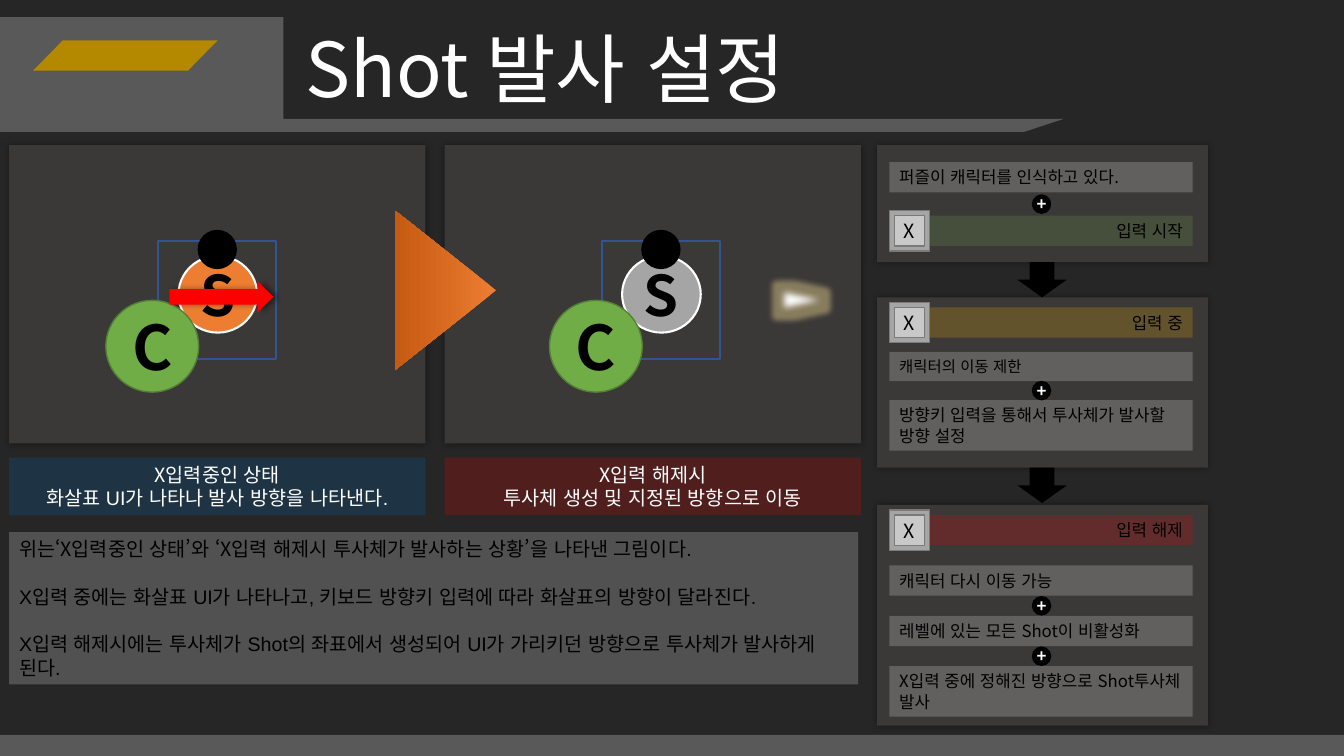
from dataclasses import dataclass
from typing import NamedTuple

from lxml.etree import SubElement
from pptx import Presentation
from pptx.dml.color import RGBColor
from pptx.enum.lang import MSO_LANGUAGE_ID
from pptx.enum.shapes import MSO_SHAPE as Kind
from pptx.enum.text import MSO_ANCHOR, PP_ALIGN
from pptx.oxml.ns import qn
from pptx.shapes.autoshape import Shape
from pptx.util import Inches, Pt


@dataclass(frozen=True)
class Theme:
    back: str = "262626"
    gray: str = "595959"
    gold: str = "B48900"
    panel: str = "3B3838"
    black: str = "000000"
    white: str = "FFFFFF"
    red: str = "FF0000"
    blue: str = "0070C0"
    amber: str = "FFC000"
    green: str = "70AD47"
    moss: str = "538035"
    orange: str = "ED7D31"
    rust: str = "C55A11"
    frame: str = "325491"
    silver: str = "A5A5A5"
    light: str = "C9C9C9"
    edge: str = "7A7A7A"
    glow: str = "FFE699"
    main: str = "Noto Sans CJK KR"
    plain: str = "Arial"
    title: int = 54
    ball: int = 44
    shot: int = 40
    plus: int = 12
    body: int = 14
    step: int = 12
    small: int = 11


T = Theme()


class Box(NamedTuple):
    left: float
    top: float
    width: float
    height: float


class Bar(NamedTuple):
    top: float
    height: float
    text: str
    size: int = T.step
    tint: str = ""  # a tinted bar is a stage label with a key


class Stage(NamedTuple):
    top: float
    height: float
    bars: list[Bar]


class Scene(NamedTuple):
    left: float
    cast: float  # left edge of the C ball
    shot: str
    tint: str
    lines: list[str]


deck = Presentation()
deck.slide_width, deck.slide_height = Inches(13.33), Inches(7.5)
slide = deck.slides.add_slide(deck.slide_layouts[6])
slide.background.fill.solid()
slide.background.fill.fore_color.rgb = RGBColor.from_string(T.back)


def tone(node, color: str, alpha: int) -> None:
    rgb = SubElement(node, qn("a:srgbClr"), val=color)
    SubElement(rgb, qn("a:alpha"), val=str(alpha * 1000))


def draw(kind: Kind, box: Box, fill: str = "", line: str = "", weight: float = 1,
         alpha: int = 100, turn: int = 0, slant: float | None = None) -> Shape:
    shape = slide.shapes.add_shape(kind, *(Inches(n) for n in box))
    shape.shadow.inherit = False
    shape.rotation = turn
    if slant is not None:
        shape.adjustments[0] = slant
    if fill:
        shape.fill.solid()
        shape.fill.fore_color.rgb = RGBColor.from_string(fill)
        if alpha < 100:
            rgb = shape.fill._xPr.find(".//" + qn("a:srgbClr"))
            SubElement(rgb, qn("a:alpha"), val=str(alpha * 1000))
    else:
        shape.fill.background()
    if line:
        shape.line.color.rgb = RGBColor.from_string(line)
        shape.line.width = Pt(weight)
    else:
        shape.line.fill.background()
    return shape


def shade(shape: Shape, blur: int, dist: int = 0) -> None:
    effects = shape._element.spPr.find(qn("a:effectLst"))
    node = SubElement(effects, qn("a:outerShdw"), blurRad=str(Pt(blur)),
                      dist=str(Pt(dist)), dir="0", rotWithShape="0")
    tone(node, T.black, 40)


def write(shape: Shape, lines: list, size: int, color: str = T.black,
          align: PP_ALIGN = PP_ALIGN.LEFT, bold: bool = False, font: str = T.main,
          anchor: MSO_ANCHOR = MSO_ANCHOR.TOP, wrap: bool = True, gap: int = 0) -> None:
    """Each line is a string, or a list of (words, font) runs."""
    frame = shape.text_frame
    frame.word_wrap, frame.vertical_anchor = wrap, anchor
    for i, line in enumerate(lines):
        para = frame.paragraphs[0] if i == 0 else frame.add_paragraph()
        para.alignment, para.space_after = align, Pt(gap)
        para.font.size, para.font.bold, para.font.name = Pt(size), bold, font
        para.font.color.rgb = RGBColor.from_string(color)
        for words, face in [(line, "")] if isinstance(line, str) else line:
            run = para.add_run()
            run.text = words
            run.font.language_id = MSO_LANGUAGE_ID.KOREAN
            if face:
                run.font.name = face


def badge(kind: Kind, box: Box, text: str, size: int, fill: str, line: str,
          weight: float = 1, color: str = T.black, bold: bool = True) -> None:
    shape = draw(kind, box, fill, line, weight)
    frame = shape.text_frame
    frame.margin_left = frame.margin_right = frame.margin_top = frame.margin_bottom = 0
    write(shape, [text], size, color, PP_ALIGN.CENTER, bold, anchor=MSO_ANCHOR.MIDDLE)


def panel(box: Box) -> None:
    shade(draw(Kind.RECTANGLE, box, T.panel), 5)


# Header and footer, with a plain shape in the emblem's place
draw(Kind.RECTANGLE, Box(0, 0.17, 2.81, 1.14), T.gray)
draw(Kind.PARALLELOGRAM, Box(0.33, 0.4, 1.83, 0.3), T.gold, slant=0.98)
draw(Kind.PARALLELOGRAM, Box(2.31, 1.18, 8.24, 0.13), T.gray, slant=3.05)
draw(Kind.RECTANGLE, Box(0, 7.29, 13.33, 0.21), T.gray)
title = slide.shapes.add_textbox(Inches(2.93), Inches(0.17), Inches(5.33), Inches(1.01))
write(title, ["Shot 발사 설정"], T.title, T.white, wrap=False)

# Two scenes with captions
scenes = [
    Scene(0.09, 1.05, T.orange, T.blue,
          ["X입력중인 상태", "화살표 UI가 나타나 발사 방향을 나타낸다."]),
    Scene(4.41, 5.45, T.silver, T.red,
          ["X입력 해제시", "투사체 생성 및 지정된 방향으로 이동"]),
]
for scene in scenes:
    x, ball = scene.left, scene.cast
    panel(Box(x, 1.44, 4.13, 2.96))
    draw(Kind.RECTANGLE, Box(ball + 0.52, 2.39, 1.17, 1.17), line=T.frame, weight=1.5)
    badge(Kind.OVAL, Box(ball + 0.72, 2.54, 0.78, 0.76), "S", T.shot, scene.shot, T.white, 1.5)
    badge(Kind.OVAL, Box(ball, 2.98, 0.92, 0.91), "C", T.ball, T.green, T.moss)
    draw(Kind.OVAL, Box(ball + 0.91, 2.28, 0.39, 0.39), T.black)
    label = draw(Kind.RECTANGLE, Box(x, 4.54, 4.13, 0.57), scene.tint, alpha=20)
    first, second = scene.lines
    write(label, [first, [(second, T.plain)]], T.body, T.white, PP_ALIGN.CENTER)

# Aim arrow, glowing bullet and scene change
shade(draw(Kind.UP_ARROW, Box(2.04, 2.43, 0.31, 1.03), T.red, turn=90), 4, 3)
bullet = draw(Kind.ISOSCELES_TRIANGLE, Box(7.94, 2.58, 0.35, 0.8), T.white, turn=90)
effects = bullet._element.spPr.find(qn("a:effectLst"))
tone(SubElement(effects, qn("a:glow"), rad=str(Pt(8))), T.glow, 40)
SubElement(effects, qn("a:softEdge"), rad=str(Pt(5)))
change = draw(Kind.ISOSCELES_TRIANGLE, Box(3.63, 2.38, 1.58, 1), T.orange, turn=90)
change.fill.gradient()
change.fill.gradient_angle = 270
for stop, color in zip(change.fill.gradient_stops, (T.orange, T.rust)):
    stop.color.rgb = RGBColor.from_string(color)

# Explanation
note = draw(Kind.RECTANGLE, Box(0.09, 5.28, 8.42, 1.51), T.white, alpha=20)
write(note, [
    [("위는", ""), ("‘X입력중인 상태’", T.main), ("와 ", ""),
     ("‘X입력 해제시 투사체가 발사하는 상황’", T.main), ("을 나타낸 그림이다.", "")],
    "X입력 중에는 화살표 UI가 나타나고, 키보드 방향키 입력에 따라 화살표의 방향이 달라진다.",
    "X입력 해제시에는 투사체가 Shot의 좌표에서 생성되어 UI가 가리키던 방향으로 "
    "투사체가 발사하게 된다.",
], T.body, font=T.plain, gap=17)

# Input stages
stages = [
    Stage(1.44, 1.16, [
        Bar(1.61, 0.3, "퍼즐이 캐릭터를 인식하고 있다."),
        Bar(2.14, 0.3, "입력 시작", tint=T.green)]),
    Stage(2.95, 1.69, [
        Bar(3.05, 0.3, "입력 중", tint=T.amber),
        Bar(3.49, 0.29, "캐릭터의 이동 제한", T.small),
        Bar(3.97, 0.5, "방향키 입력을 통해서 투사체가 발사할 방향 설정")]),
    Stage(5.01, 2.19, [
        Bar(5.11, 0.3, "입력 해제", tint=T.red),
        Bar(5.61, 0.3, "캐릭터 다시 이동 가능"),
        Bar(6.11, 0.3, "레벨에 있는 모든 Shot이 비활성화"),
        Bar(6.61, 0.5, "X입력 중에 정해진 방향으로 Shot투사체 발사")]),
]
for stage in stages:
    panel(Box(8.7, stage.top, 3.28, stage.height))
    for bar in stage.bars:
        strip = draw(Kind.RECTANGLE, Box(8.82, bar.top, 3.01, bar.height),
                     bar.tint or T.white, alpha=20)
        write(strip, [bar.text], bar.size,
              align=PP_ALIGN.RIGHT if bar.tint else PP_ALIGN.LEFT)
        if bar.tint:
            draw(Kind.RECTANGLE, Box(8.82, bar.top - 0.05, 0.4, 0.4), T.silver, T.edge)
            badge(Kind.RECTANGLE, Box(8.87, bar.top, 0.3, 0.3), "X", T.body,
                  T.light, T.edge, bold=False)
    # A plus fits the gap between joined bars, but not below a label
    for bar, below in zip(stage.bars, stage.bars[1:]):
        if not bar.tint:
            mid = (bar.top + bar.height + below.top) / 2
            badge(Kind.OVAL, Box(10.24, mid - 0.09, 0.18, 0.18), "+", T.plus,
                  T.black, T.black, color=T.white)
for stage in stages[:-1]:
    draw(Kind.DOWN_ARROW, Box(10.09, stage.top + stage.height, 0.49, 0.35), T.black)

deck.save("out.pptx")
